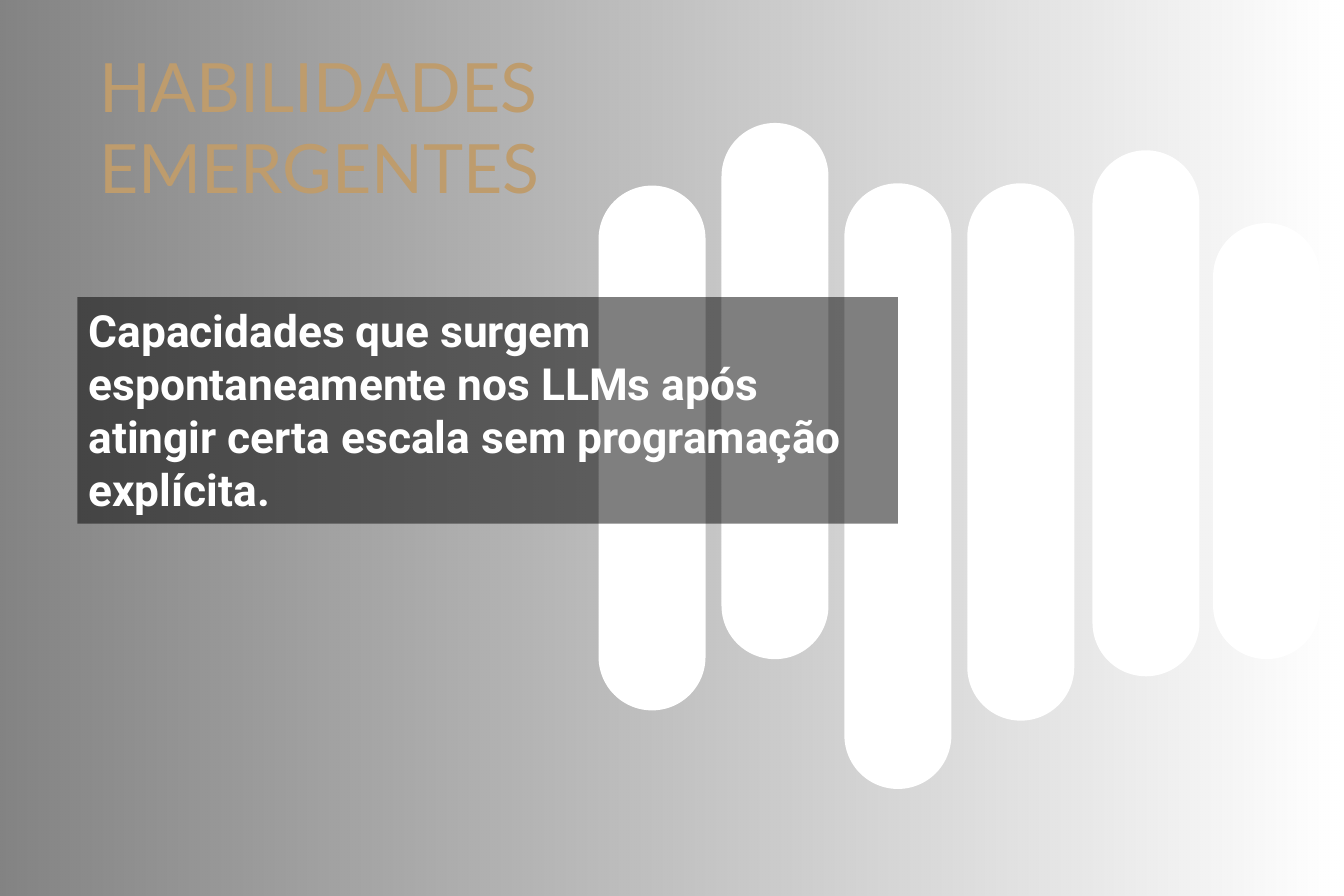
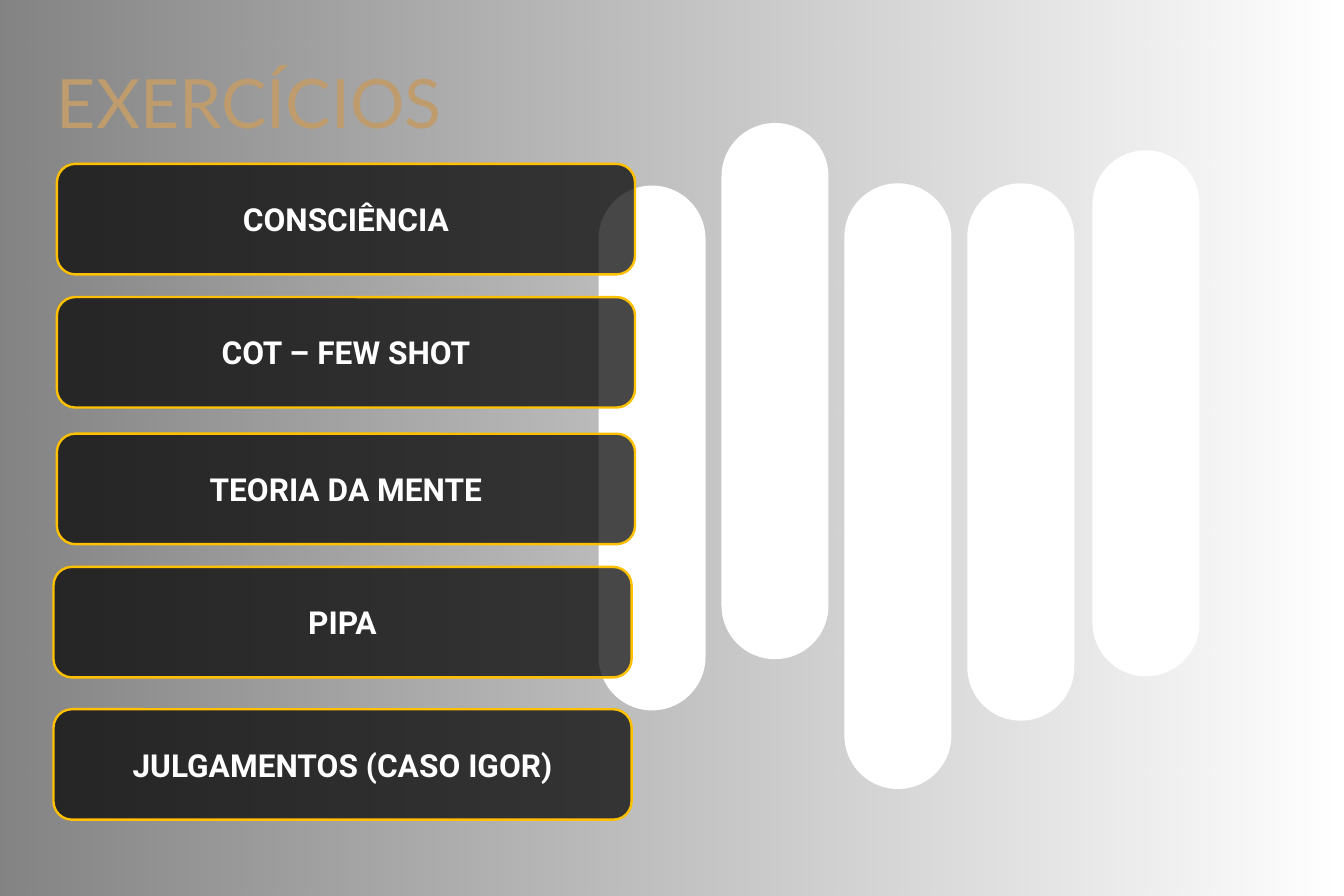
from lxml import etree
from pptx import Presentation
from pptx.dml.color import RGBColor
from pptx.enum import shapes, text
from pptx.oxml.ns import qn
from pptx.util import Inches, Pt

COLORS = {"black": "000000", "white": "FFFFFF", "sand": "BE9C6D", "amber": "FFC000"}
RGB = {name: RGBColor.from_string(value) for name, value in COLORS.items()}
WIDTH, HEIGHT = 11.81, 7.87
PILL_WIDTH = 0.94

# left, top, height
PILLS = [
    (5.26, 1.63, 4.61),
    (6.34, 1.08, 4.71),
    (7.42, 1.61, 5.32),
    (8.5, 1.61, 4.72),
    (9.6, 1.32, 4.62),
    (10.66, 1.96, 3.83),
]
# title, its box, number of pills
SLIDES = [
    ("HABILIDADES EMERGENTES", (0.77, 0.34, 7.12, 1.97), 6),
    ("EXERCÍCIOS", (0.4, 0.48, 8.98, 0.82), 5),
]
# label, left, top
EXERCISES = [
    ("CONSCIÊNCIA", 0.5, 1.44),
    ("COT – FEW SHOT", 0.5, 2.61),
    ("TEORIA DA MENTE", 0.5, 3.81),
    ("PIPA", 0.47, 4.98),
    ("JULGAMENTOS (CASO IGOR)", 0.47, 6.23),
]


def add_filled_shape(slide, kind, box, color, opacities=(100,)):
    """Add a shape without outline; two opacities make a left-to-right gradient."""
    shape = slide.shapes.add_shape(kind, *map(Inches, box))
    shape.shadow.inherit = False
    shape.line.fill.background()
    if len(opacities) == 2:
        shape.fill.gradient()
        shape.fill.gradient_angle = 0
        for stop in shape.fill.gradient_stops:
            stop.color.rgb = RGB[color]
    else:
        shape.fill.solid()
        shape.fill.fore_color.rgb = RGB[color]
    fill_colors = list(shape._element.spPr.iter(qn("a:srgbClr")))
    for fill_color, opacity in zip(fill_colors, opacities):
        if opacity < 100:
            etree.SubElement(fill_color, qn("a:alpha"), val=str(opacity * 1000))
    return shape


def write_text(shape, content, font_name, size, color, bold, alignment, anchor):
    frame = shape.text_frame
    frame.text = content
    frame.word_wrap = True
    frame.auto_size = text.MSO_AUTO_SIZE.NONE
    frame.vertical_anchor = anchor
    paragraph = frame.paragraphs[0]
    paragraph.alignment = alignment
    paragraph.font.name = font_name
    paragraph.font.size = Pt(size)
    paragraph.font.bold = bold
    paragraph.font.color.rgb = RGB[color]


presentation = Presentation()
presentation.slide_width = Inches(WIDTH)
presentation.slide_height = Inches(HEIGHT)
title_only = presentation.slide_layouts[5]

for heading, title_box, pill_count in SLIDES:
    slide = presentation.slides.add_slide(title_only)
    add_filled_shape(slide, shapes.MSO_SHAPE.RECTANGLE, (0, 0, WIDTH, HEIGHT),
                     "black", (49, 0))
    for left, top, height in PILLS[:pill_count]:
        pill = add_filled_shape(slide, shapes.MSO_SHAPE.ROUNDED_RECTANGLE,
                                (left, top, PILL_WIDTH, height), "white")
        pill.adjustments[0] = 0.5

    title = slide.shapes.title
    title.left, title.top, title.width, title.height = map(Inches, title_box)
    write_text(title, heading, "Lato", 43, "sand", False,
               text.PP_ALIGN.LEFT, text.MSO_ANCHOR.TOP)
    # The title placeholder starts at the back, so bring it to the front
    slide.shapes._spTree.append(title._element)

abilities_slide, exercises_slide = presentation.slides

definition = add_filled_shape(abilities_slide, shapes.MSO_SHAPE.RECTANGLE,
                              (0.68, 2.61, 7.21, 1.99), "black", (50,))
write_text(definition,
           "Capacidades que surgem espontaneamente nos LLMs após atingir certa "
           "escala sem programação explícita.",
           "Roboto", 28, "white", True, text.PP_ALIGN.LEFT, text.MSO_ANCHOR.TOP)

for label, left, top in EXERCISES:
    button = add_filled_shape(exercises_slide,
                              shapes.MSO_SHAPE.FLOWCHART_ALTERNATE_PROCESS,
                              (left, top, 5.08, 0.97), "black", (72,))
    button.line.color.rgb = RGB["amber"]
    button.line.width = Pt(1.5)
    write_text(button, label, "Roboto", 20, "white", True,
               text.PP_ALIGN.CENTER, text.MSO_ANCHOR.MIDDLE)

presentation.save("out.pptx")
